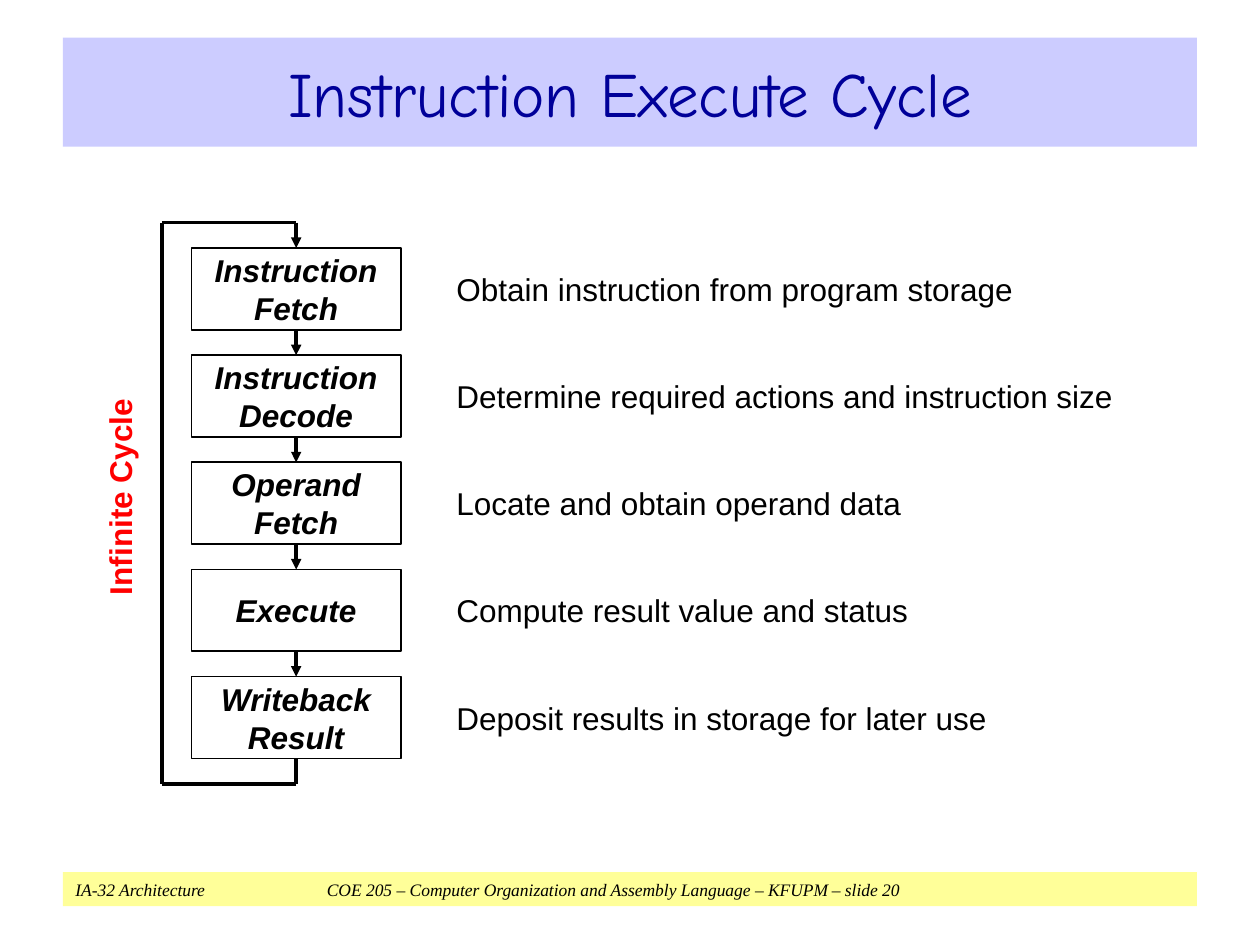
from pptx import Presentation
from pptx.dml.color import RGBColor
from pptx.enum.shapes import MSO_CONNECTOR, MSO_SHAPE
from pptx.enum.text import MSO_ANCHOR, PP_ALIGN
from pptx.oxml.ns import qn
from pptx.util import Cm, Pt
from lxml import etree

RECT = MSO_SHAPE.RECTANGLE
LINE = MSO_CONNECTOR.STRAIGHT
MID = MSO_ANCHOR.MIDDLE
LEFT, CENTER = PP_ALIGN.LEFT, PP_ALIGN.CENTER
BLACK = RGBColor(0, 0, 0)
RED = RGBColor(0xFF, 0, 0)
NAVY = RGBColor(0, 0, 0x99)
LILAC = RGBColor(0xCC, 0xCC, 0xFF)
YELLOW = RGBColor(0xFF, 0xFF, 0x99)

TITLE = "Instruction Execute Cycle"
FOOTER = ("IA-32 Architecture\tCOE 205 – Computer Organization and "
          "Assembly Language – KFUPM\t– slide 20")
TABS = [5.07, 15.25]
LABEL = "Infinite Cycle"
STEPS = [
    (["Instruction", "Fetch"], "Obtain instruction from program storage"),
    (["Instruction", "Decode"],
     "Determine required actions and instruction size"),
    (["Operand", "Fetch"], "Locate and obtain operand data"),
    (["Execute"], "Compute result value and status"),
    (["Writeback", "Result"], "Deposit results in storage for later use"),
]

BOX_X, BOX_Y, BOX_W, BOX_H = 3.86, 5, 4.22, 1.65
PITCH = 2.16
GAP = PITCH - BOX_H
NOTE_X, NOTE_W, NOTE_H = 9.02, 13.72, 0.89
LOOP_X = 3.27
LABEL_X, LABEL_Y, LABEL_W = 2.41, 10.02, 12.5

prs = Presentation()
prs.slide_width, prs.slide_height = Cm(25.4), Cm(19.05)
slide = prs.slides.add_slide(prs.slide_layouts[6])
shapes = slide.shapes


def write(shape, lines, size, color=BLACK, font="Arial", align=LEFT,
          bold=False, italic=False, pad=(0.18, 0.08)):
    frame = shape.text_frame
    frame.word_wrap = True
    frame.vertical_anchor = MID
    frame.margin_left = frame.margin_right = Cm(pad[0])
    frame.margin_top = frame.margin_bottom = Cm(pad[1])
    for i, line in enumerate(lines):
        para = frame.add_paragraph() if i else frame.paragraphs[0]
        para.alignment = align
        run = para.add_run()
        run.text = line
        run.font.size = Pt(size)
        run.font.name = font
        run.font.color.rgb = color
        run.font.bold = bold
        run.font.italic = italic


def block(x, y, w, h, fill=None):
    shape = shapes.add_shape(RECT, Cm(x), Cm(y), Cm(w), Cm(h))
    shape.shadow.inherit = False
    if fill is None:
        shape.fill.background()
        shape.line.color.rgb = BLACK
        shape.line.width = Pt(1)
    else:
        shape.fill.solid()
        shape.fill.fore_color.rgb = fill
        shape.line.fill.background()
    return shape


def link(start, end, arrow=False):
    line = shapes.add_connector(LINE, *map(Cm, start + end))
    line.line.color.rgb = BLACK
    line.line.width = Pt(2)
    if arrow:
        etree.SubElement(line.line._get_or_add_ln(), qn("a:tailEnd"),
                         type="triangle")
    etree.SubElement(line._element.spPr, qn("a:effectLst"))
    return line


foot = block(1.27, 17.58, 22.86, 0.69, YELLOW)
write(foot, [FOOTER], 10, font="Times New Roman", italic=True,
      pad=(0.25, 0.08))
props = foot.text_frame.paragraphs[0]._p.get_or_add_pPr()
tabs = etree.SubElement(props, qn("a:tabLst"))
for pos in TABS:
    etree.SubElement(tabs, qn("a:tab"), pos=str(int(Cm(pos))), algn="l")

head = block(1.27, 0.76, 22.86, 2.2, LILAC)
write(head, [TITLE], 36, NAVY, "Comic Neue", CENTER)

boxes = []
for i, (name, note) in enumerate(STEPS):
    y = BOX_Y + i * PITCH
    box = block(BOX_X, y, BOX_W, BOX_H)
    write(box, name, 18, align=CENTER, bold=True, italic=True)
    boxes.append(box)
    text = shapes.add_textbox(Cm(NOTE_X), Cm(y + (BOX_H - NOTE_H) / 2),
                              Cm(NOTE_W), Cm(NOTE_H))
    write(text, [note], 18)

mid = BOX_X + BOX_W / 2
for i, (above, below) in enumerate(zip(boxes, boxes[1:])):
    y = BOX_Y + i * PITCH + BOX_H
    line = link((mid, y), (mid, y + GAP), True)
    line.begin_connect(above, 2)
    line.end_connect(below, 0)

top = BOX_Y - GAP
base = BOX_Y + len(STEPS) * PITCH
loop = [(mid, base - GAP), (mid, base), (LOOP_X, base), (LOOP_X, top),
        (mid, top), (mid, BOX_Y)]
last = len(loop) - 2
sides = [link(a, b, i == last)
         for i, (a, b) in enumerate(zip(loop, loop[1:]))]
sides[0].begin_connect(boxes[-1], 2)
sides[-1].end_connect(boxes[0], 0)

label = shapes.add_textbox(Cm(LABEL_X - LABEL_W / 2),
                           Cm(LABEL_Y - NOTE_H / 2), Cm(LABEL_W), Cm(NOTE_H))
label.rotation = 270
write(label, [LABEL], 18, RED, align=CENTER, bold=True)

prs.save("out.pptx")
